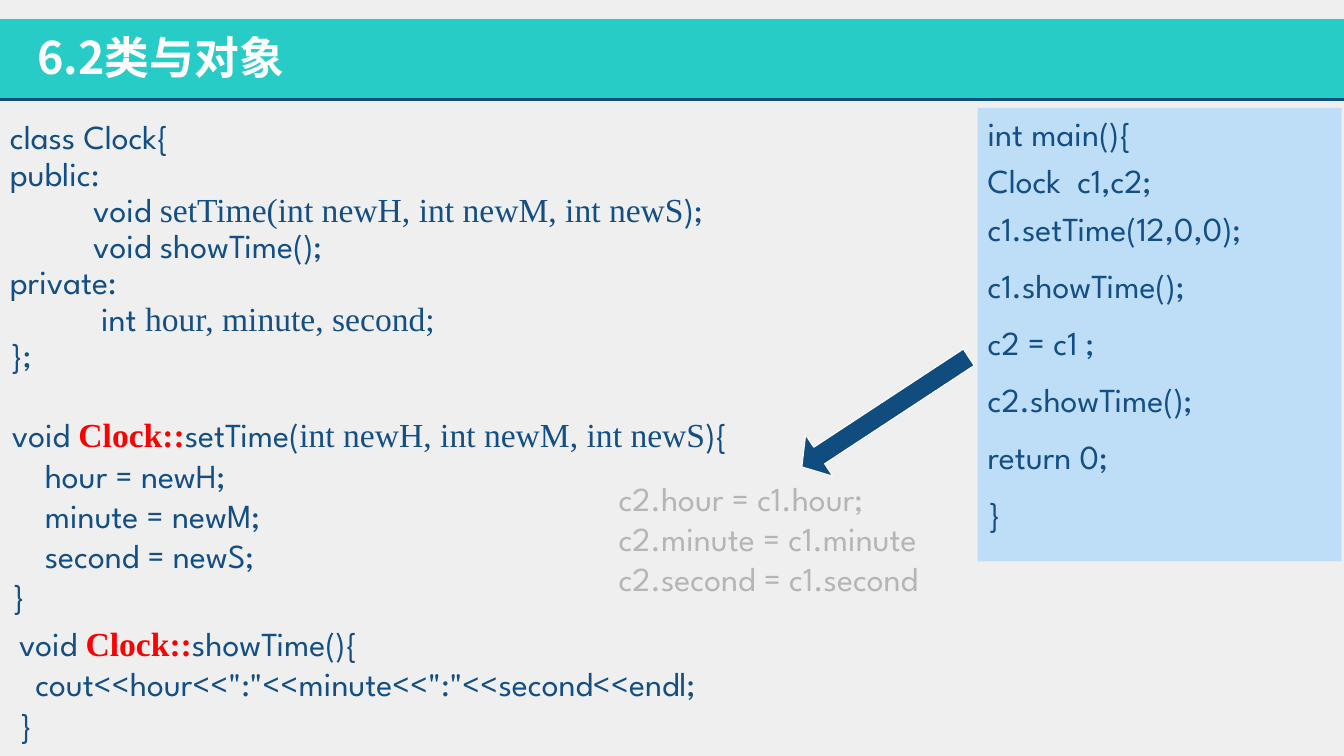
from pptx import Presentation
from pptx.dml.color import RGBColor
from pptx.enum.shapes import MSO_CONNECTOR, MSO_SHAPE
from pptx.enum.text import MSO_ANCHOR, PP_ALIGN
from pptx.oxml.ns import qn
from pptx.util import Cm, Pt
from lxml.etree import SubElement

WIDE, HIGH = 33.87, 19.05
NAVY, TEAL, INK = "104D7E", "26CCC5", "134F85"
SANS, SERIF, HAN = "League Spartan", "Times New Roman", "Noto Sans CJK JP"

# Run formats
CODE = {"name": SANS, "size": Pt(24), "color": INK}
ARGS = {**CODE, "name": SERIF}
SCOPE = {**ARGS, "color": "FF0000", "bold": True}
NOTE = {**CODE, "color": "B3B6B5"}
TITLE = {"name": HAN, "size": Pt(32), "color": "FFFFFF", "bold": True}


def tint(code):
    return RGBColor.from_string(code)


def style(font, form):
    for key, value in form.items():
        if key == "color":
            font.color.rgb = tint(value)
        else:
            setattr(font, key, value)


def block(slide, kind, box, fill):
    shape = slide.shapes.add_shape(kind, *map(Cm, box))
    shape.shadow.inherit = False
    shape.fill.solid()
    shape.fill.fore_color.rgb = tint(fill)
    shape.line.fill.background()
    return shape


def write(shape, lines, form=CODE, **layout):
    """Each line is (indent in cm, run, ...); a run is text or (text, format)."""
    frame = shape.text_frame
    frame.word_wrap = True
    frame.vertical_anchor = MSO_ANCHOR.TOP
    for i, (indent, *runs) in enumerate(lines):
        para = frame.add_paragraph() if i else frame.paragraphs[0]
        for key, value in {"alignment": PP_ALIGN.LEFT, **layout}.items():
            setattr(para, key, value)
        if indent:
            para._p.get_or_add_pPr().set("marL", str(Cm(indent)))
        for item in runs:
            text, look = (item, form) if isinstance(item, str) else item
            run = para.add_run()
            run.text = text
            style(run.font, look)
            if look["name"] == HAN:
                SubElement(run._r.get_or_add_rPr(), qn("a:ea")).set("typeface", HAN)
    return frame


def code(slide, box, lines, form=CODE, **layout):
    return write(slide.shapes.add_textbox(*map(Cm, box)), lines, form, **layout)


def header(slide, box, text):
    left, top, width, height = box
    block(slide, MSO_SHAPE.RECTANGLE, box, TEAL)
    # Rule along the lower edge
    base = Cm(top + height)
    rule = slide.shapes.add_connector(
        MSO_CONNECTOR.STRAIGHT, Cm(left), base, Cm(left + width), base)
    rule.line.color.rgb = tint(NAVY)
    rule.line.width = Pt(2)
    SubElement(rule._element.spPr, qn("a:effectLst"))
    code(slide, (left + 0.69, top + 0.15, 22.3, 1.63), [(0, text)], TITLE)


def panel(slide, box, lines):
    shape = block(slide, MSO_SHAPE.RECTANGLE, box, "BEDDF7")
    frame = write(shape, [(0, line) for line in lines], space_before=Pt(12))
    # The declarations sit closer together
    for para, gap in zip(frame.paragraphs, (0, 5, 5)):
        para.space_before = Pt(gap)


def result(slide, box, lines):
    left, top, width, height = box
    code(slide, box, [(0, line) for line in lines], NOTE)
    # Arrow from the assignment to its effect
    arrow = block(slide, MSO_SHAPE.DOWN_ARROW,
                  (left + 6.35, top - 4.04, 1.24, 5.03), NAVY)
    arrow.rotation = 56.7
    arrow.adjustments[0], arrow.adjustments[1] = 0.4, 0.42
    arrow.line.color.rgb = tint("FFFFFF")
    arrow.line.width = Pt(0.75)


def main():
    deck = Presentation()
    deck.slide_width, deck.slide_height = Cm(WIDE), Cm(HIGH)
    slide = deck.slides.add_slide(deck.slide_layouts[6])
    slide.background.fill.solid()
    slide.background.fill.fore_color.rgb = tint("EFEFEF")

    header(slide, (0, 0.48, WIDE, 2.03), "6.2类与对象")
    panel(slide, (24.64, 2.72, 9.17, 11.43), [
        "int main(){", "Clock  c1,c2;", "c1.setTime(12,0,0);", "c1.showTime();",
        "c2 = c1 ;", "c2.showTime();", "return 0;", "}"])

    # Class declaration
    args = "int newH, int newM, int newS"
    code(slide, (0, 2.92, 20.07, 6.71), [
        (0, "class Clock{"),
        (0, "public:"),
        (2.1, "void ", (f"setTime({args}", ARGS), ");"),
        (2.1, "void showTime();"),
        (0, "private:"),
        (2.3, "int ", ("hour, minute, second;", ARGS)),
        (0, "};")], line_spacing=0.9)

    # Member functions
    scope = ("Clock::", SCOPE)
    code(slide, (0.05, 10.31, 19.48, 5.38), [
        (0, "void ", scope, "setTime(", (args, ARGS), "){"),
        (0.83, "hour = newH;"),
        (0.83, "minute = newM;"),
        (0.83, "second = newS;"),
        (0, "}")])
    code(slide, (0.23, 15.57, 20.75, 3.33), [
        (0, "void ", scope, "showTime(){"),
        (0.41, 'cout<<hour<<":"<<minute<<":"<<second<<endl;'),
        (0, "}")])

    result(slide, (15.34, 11.91, 10.41, 3.33), [
        "c2.hour = c1.hour;", "c2.minute = c1.minute", "c2.second = c1.second"])
    deck.save("out.pptx")


if __name__ == "__main__":
    main()
